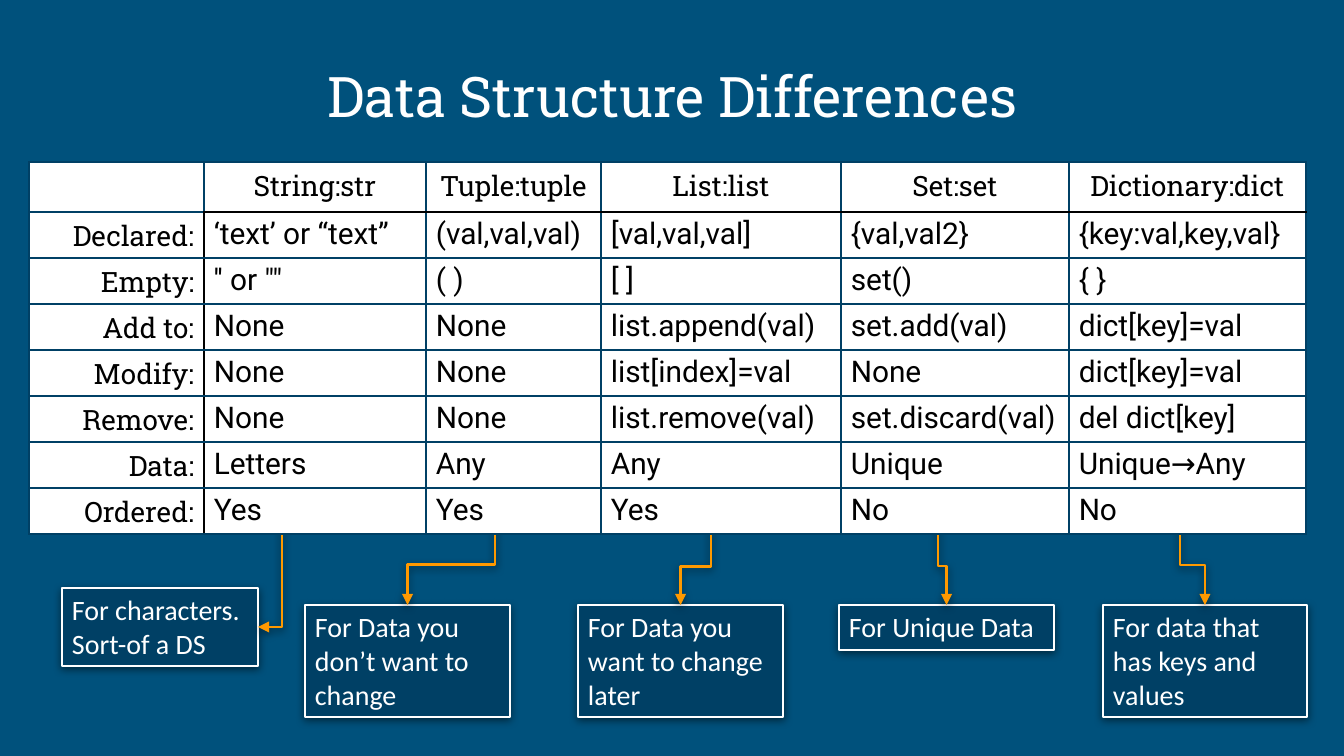
"""Builds the slide that compares Python's data structures."""
from lxml import etree
from pptx import Presentation, util as u
from pptx.dml.color import RGBColor
from pptx.enum import shapes, text
from pptx.oxml.ns import qn

WHITE = RGBColor(0xFF, 0xFF, 0xFF)
BLACK = RGBColor(0, 0, 0)
BLUE = RGBColor(0x00, 0x51, 0x7C)
NAVY = RGBColor(0x00, 0x40, 0x65)
GOLD = RGBColor(0xFF, 0x99, 0x00)
SLAB, SANS, BODY = "Roboto Slab", "Roboto", "Calibri"
LEFT, MID, RIGHT = text.PP_ALIGN.LEFT, text.PP_ALIGN.CENTER, text.PP_ALIGN.RIGHT

TITLE = "Data Structure Differences"
ROWS = [
    ["", "String:str", "Tuple:tuple", "List:list", "Set:set", "Dictionary:dict"],
    ["Declared:", "‘text’ or “text”", "(val,val,val)", "[val,val,val]", "{val,val2}", "{key:val,key,val}"],
    ["Empty:", "'' or \"\"", "( )", "[ ]", "set()", "{ }"],
    ["Add to:", "None", "None", "list.append(val)", "set.add(val)", "dict[key]=val"],
    ["Modify:", "None", "None", "list[index]=val", "None", "dict[key]=val"],
    ["Remove:", "None", "None", "list.remove(val)", "set.discard(val)", "del dict[key]"],
    ["Data:", "Letters", "Any", "Any", "Unique", "Unique→Any"],
    ["Ordered:", "Yes", "Yes", "Yes", "No", "No"],
]
WIDTHS = [175, 222, 175, 240, 228, 237]
HEAD, ROW = 50, 46
NOTES = [
    ("For characters.\nSort-of a DS", (62, 588, 196, 78), (282, 527)),
    ("For Data you don’t want to change", (305, 605, 205, 112), (495, 524)),
    ("For Data you want to change later", (578, 605, 205, 112), (711, 528)),
    ("For Unique Data", (839, 605, 215, 45), (938, 527)),
    ("For data that has keys and values", (1103, 605, 204, 112), (1180, 525)),
]


def px(num):
    return u.Emu(round(num * 914400 / 134.4))


def put(frame, words, font=BODY, size=15, color=WHITE, align=LEFT, pad=None, space=None):
    if pad:
        frame.margin_left = frame.margin_right = px(pad)
        frame.margin_top = frame.margin_bottom = px(pad / 2)
        frame.word_wrap = True
        frame.auto_size = text.MSO_AUTO_SIZE.NONE
    frame.text = words
    for para in frame.paragraphs:
        para.alignment = align
        para.line_spacing = space
        for run in para.runs:
            run.font.name, run.font.size = font, u.Pt(size)
            run.font.bold = False
            run.font.color.rgb = color


def shade():
    fx = etree.Element(qn("a:effectLst"))
    drop = etree.SubElement(fx, qn("a:outerShdw"), blurRad="57150", dist="19050",
                            dir="5400000", algn="bl", rotWithShape="0")
    tint = etree.SubElement(drop, qn("a:srgbClr"), val=str(BLACK))
    etree.SubElement(tint, qn("a:alpha"), val="50000")
    return fx


def edge(cell, side, color, width):
    line = etree.SubElement(cell._tc.get_or_add_tcPr(), qn("a:ln" + side), w=str(u.Pt(width)))
    fill = etree.SubElement(line, qn("a:solidFill"))
    etree.SubElement(fill, qn("a:srgbClr"), val=str(color))


def add_title(slide):
    title = slide.shapes.title
    title.left, title.top, title.width, title.height = map(px, (93, 26, 1159, 147))
    frame = title.text_frame
    frame.vertical_anchor = text.MSO_ANCHOR.MIDDLE
    put(frame, TITLE, font=SLAB, size=30, align=MID, pad=10, space=0.9)
    props = frame.paragraphs[0].runs[0]._r.get_or_add_rPr()
    props.find(qn("a:solidFill")).addnext(shade())


def add_note(slide, words, box):
    note = slide.shapes.add_shape(shapes.MSO_SHAPE.RECTANGLE, *map(px, box))
    note.fill.solid()
    note.fill.fore_color.rgb = NAVY
    note.line.color.rgb, note.line.width = WHITE, u.Pt(0.75)
    note._element.spPr.append(shade())
    note.text_frame.vertical_anchor = text.MSO_ANCHOR.TOP
    put(note.text_frame, words, pad=10)


def add_arrow(slide, box, start):
    """Bend downward first: the connector is laid flat, then turned about its centre."""
    left, top, wide, high = box
    x, y = start
    side = x > left + wide
    end_x, end_y = (left + wide, top + high / 2) if side else (left + wide / 2, top)
    run, rise = end_y - y, abs(end_x - x)
    mid_x, mid_y = (x + end_x) / 2, (y + end_y) / 2
    back = end_x > x
    half = -run / 2 if back else run / 2
    arrow = slide.shapes.add_connector(
        shapes.MSO_CONNECTOR.ELBOW, px(mid_x - half), px(mid_y - rise / 2),
        px(mid_x + half), px(mid_y + rise / 2))
    arrow.line.color.rgb, arrow.line.width = GOLD, u.Pt(1.5)
    props = arrow._element.spPr
    props.find(qn("a:xfrm")).set("rot", str((270 if back else 90) * 60000))
    if side:
        props.find(qn("a:prstGeom")).set("prst", "bentConnector2")
    etree.SubElement(props.find(qn("a:ln")), qn("a:tailEnd"), type="triangle")
    props.append(shade())


def add_grid(slide):
    high = HEAD + ROW * (len(ROWS) - 1)
    grid = slide.shapes.add_table(len(ROWS), len(WIDTHS), px(29), px(162),
                                  px(sum(WIDTHS)), px(high)).table
    grid.first_row = grid.horz_banding = False
    for col, wide in zip(grid.columns, WIDTHS):
        col.width = px(wide)
    for r, row in enumerate(ROWS):
        grid.rows[r].height = px(ROW if r else HEAD)
        for c, words in enumerate(row):
            cell = grid.cell(r, c)
            cell.margin_left = cell.margin_right = px(10)
            cell.margin_top, cell.margin_bottom = px(5), px(4)
            heavy = {"L": r and c == 1, "R": r and c == 0,
                     "T": c and r == 1, "B": c and r == 0}
            for side, bold in heavy.items():
                edge(cell, side, *((BLACK, 1.5) if bold else (NAVY, 1)))
            cell.fill.solid()
            cell.fill.fore_color.rgb = WHITE
            if r and c:
                put(cell.text_frame, words, font=SANS, size=16, color=BLACK)
            elif words:
                put(cell.text_frame, words, font=SLAB, color=BLACK, align=RIGHT if r else MID)


def main():
    deck = Presentation()
    deck.slide_width, deck.slide_height = px(1344), px(756)
    slide = deck.slides.add_slide(deck.slide_layouts[5])
    slide.background.fill.solid()
    slide.background.fill.fore_color.rgb = BLUE
    add_title(slide)
    for words, box, start in NOTES:
        add_note(slide, words, box)
    for words, box, start in NOTES:
        add_arrow(slide, box, start)
    add_grid(slide)
    deck.save("out.pptx")


if __name__ == "__main__":
    main()
